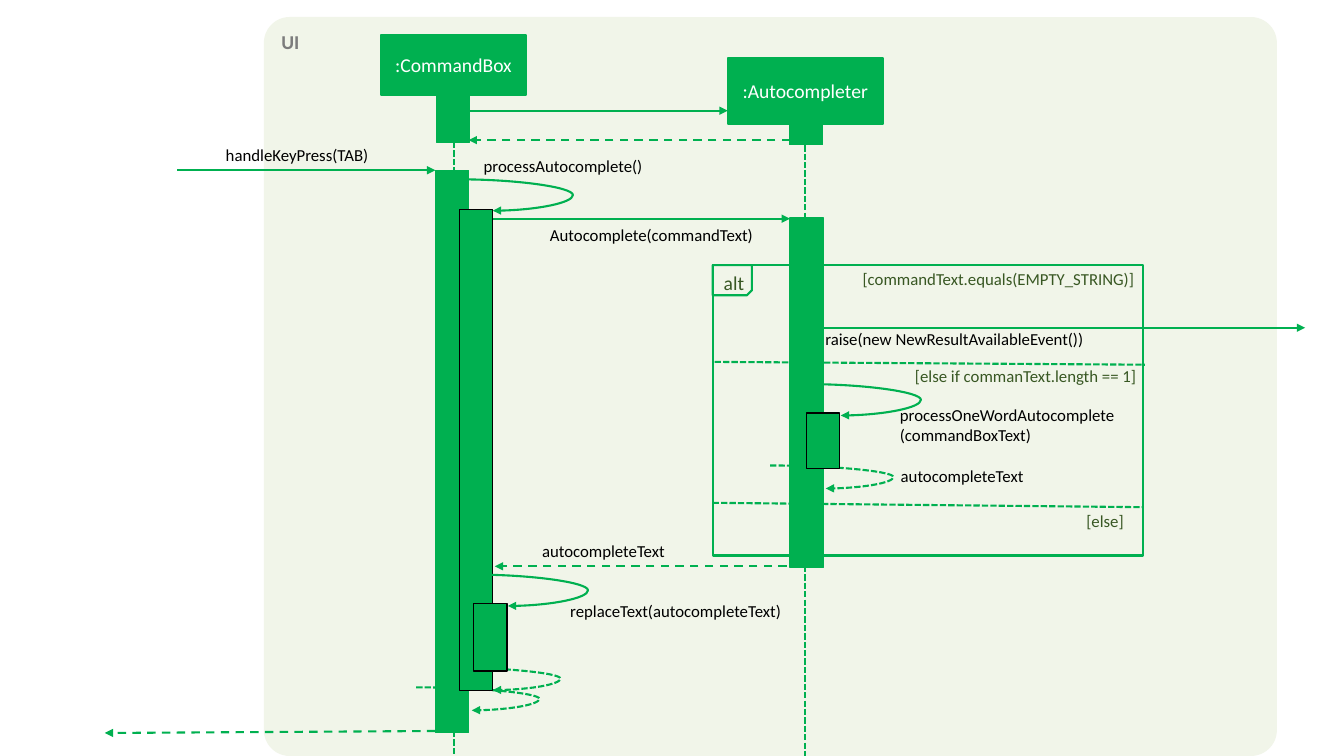
from dataclasses import dataclass
from typing import Optional

import pptx
import pptx.dml.color
import pptx.enum.dml
import pptx.enum.shapes
import pptx.enum.text
import pptx.oxml.ns
import pptx.util
from lxml import etree
from pptx.util import Cm

RGBColor = pptx.dml.color.RGBColor
Shapes = pptx.enum.shapes.MSO_SHAPE
Connectors = pptx.enum.shapes.MSO_CONNECTOR
Dashes = pptx.enum.dml.MSO_LINE
Align = pptx.enum.text.PP_ALIGN
Anchor = pptx.enum.text.MSO_ANCHOR
qn = pptx.oxml.ns.qn

GREEN = RGBColor(0x00, 0xB0, 0x50)
DARK_GREEN = RGBColor(0x38, 0x57, 0x23)
PANEL = RGBColor(0xF1, 0xF5, 0xE9)
GRAY = RGBColor(0x7C, 0x7C, 0x7C)
BLACK = RGBColor(0, 0, 0)
WHITE = RGBColor(0xFF, 0xFF, 0xFF)
FONT = "Calibri"
BAR_WIDTH = 0.84
SLIDE_WIDTH, SLIDE_HEIGHT = 33.87, 19.05


@dataclass
class Box:
    left: float
    top: float
    width: float
    height: float
    fill: Optional[RGBColor] = GREEN
    line: Optional[RGBColor] = GREEN
    weight: float = 1.5


@dataclass
class Arrow:
    start: tuple[float, float]
    end: tuple[float, float]
    dash: Optional[Dashes] = None
    head: bool = True


@dataclass
class Loop:
    """Self message, bulging to the right by a multiple of its width."""
    left: float
    top: float
    width: float = BAR_WIDTH
    height: float = 0.79
    bulge: float = 3.404
    dash: Optional[Dashes] = None


@dataclass
class Label:
    text: str
    left: float
    top: float
    width: float
    height: float = 0.77
    size: int = 12
    color: RGBColor = BLACK
    align: Align = Align.LEFT
    padded: bool = True


def bar(left: float, top: float, height: float, line: RGBColor = GREEN) -> Box:
    return Box(left, top, BAR_WIDTH, height, line=line, weight=1)


def self_return(left: float, top: float) -> Loop:
    return Loop(left, top, 1.4, 0.58, 2.218, Dashes.SQUARE_DOT)


def guard(text: str, left: float, top: float, width: float, align: Align = Align.CENTER) -> Label:
    return Label(text, left, top, width, 0.51, color=DARK_GREEN, align=align, padded=False)


COMMAND_BOX = Box(9.6, 0.89, 3.66, 1.5)
AUTOCOMPLETER = Box(18.34, 1.47, 3.91, 1.65)
ALT_FRAME = Box(17.96, 6.68, 10.85, 7.32, fill=None)
ALT_TAB = Box(17.96, 6.68, 0.99, 0.76, fill=None)

STEMS = [bar(11, 1.63, 1.96), bar(19.89, 2.79, 0.86)]
ACTIVATIONS = [
    bar(10.97, 4.29, 14.17),
    bar(11.58, 5.28, 12.12, BLACK),
    bar(19.91, 5.49, 8.81),
    bar(20.32, 10.41, 1.4, BLACK),
    bar(11.94, 15.21, 1.7, BLACK),
]
LIFELINES = [
    Arrow((11.43, 3.58), (11.43, SLIDE_HEIGHT), Dashes.SQUARE_DOT, head=False),
    Arrow((20.29, 3.66), (20.29, SLIDE_HEIGHT), Dashes.SQUARE_DOT, head=False),
]
ALT_DIVIDERS = [
    Arrow((18.01, 9.12), (28.85, 9.19), Dashes.SQUARE_DOT, head=False),
    Arrow((17.96, 12.67), (28.78, 12.78), Dashes.SQUARE_DOT, head=False),
]
MESSAGES = [
    Arrow((11.84, 2.79), (18.34, 2.79)),
    Arrow((19.91, 3.53), (11.81, 3.53), Dashes.DASH),
    Arrow((4.47, 4.29), (10.97, 4.29)),
    Arrow((12.42, 5.51), (19.91, 5.51)),
    Arrow((20.55, 8.26), (32.89, 8.26)),
    Arrow((20.57, 14.27), (12.47, 14.27), Dashes.DASH),
    Arrow((10.97, 18.42), (2.64, 18.47), Dashes.DASH),
]
SELF_CALLS = [Loop(11.58, 4.52), Loop(20.35, 9.68), Loop(11.96, 14.48)]
SELF_RETURNS = [self_return(11.02, 16.81), self_return(10.49, 17.32), self_return(19.41, 11.73)]
LABELS = [
    Label("handleKeyPress(TAB)", 5.44, 3.51, 4.47),
    Label("processAutocomplete()", 11.94, 3.81, 4.57),
    Label("Autocomplete(commandText)", 13.61, 5.54, 5.69),
    Label("raise(new NewResultAvailableEvent())", 20.55, 8.15, 11.81),
    Label("processOneWordAutocomplete(commandBoxText)", 22.43, 10.08, 6.02, 1.28),
    Label("autocompleteText", 22.45, 11.61, 3.96),
    Label("autocompleteText", 13.41, 13.49, 3.96),
    Label("replaceText(autocompleteText)", 14.12, 15.01, 5.92),
    guard("[commandText.equals(EMPTY_STRING)]", 21.74, 6.76, 6.86, Align.LEFT),
    guard("[else if commanText.length == 1]", 22.94, 9.22, 5.82),
    guard("[else]", 24.94, 12.88, 5.82),
    Label("alt", 18.24, 6.83, 0.74, 0.58, 14, DARK_GREEN, padded=False),
]


def write_text(shape, text: str, *, size: int = 14, color: RGBColor = WHITE, bold: bool = False,
               align: Align = Align.CENTER, anchor: Anchor = Anchor.MIDDLE) -> None:
    frame = shape.text_frame
    frame.word_wrap = True
    frame.vertical_anchor = anchor
    paragraph = frame.paragraphs[0]
    paragraph.alignment = align
    run = paragraph.add_run()
    run.text = text
    run.font.name = FONT
    run.font.size = pptx.util.Pt(size)
    run.font.bold = bold
    run.font.color.rgb = color


def draw_box(slide, box: Box, kind: Shapes = Shapes.RECTANGLE):
    shape = slide.shapes.add_shape(kind, Cm(box.left), Cm(box.top), Cm(box.width), Cm(box.height))
    shape.shadow.inherit = False
    if box.fill is None:
        shape.fill.background()
    else:
        shape.fill.solid()
        shape.fill.fore_color.rgb = box.fill
    if box.line is None:
        shape.line.fill.background()
    else:
        shape.line.color.rgb = box.line
        shape.line.width = pptx.util.Pt(box.weight)
    return shape


def draw_arrow(slide, arrow: Arrow, kind: Connectors = Connectors.STRAIGHT):
    connector = slide.shapes.add_connector(kind, *(Cm(value) for value in arrow.start + arrow.end))
    connector.line.color.rgb = GREEN
    connector.line.width = pptx.util.Pt(1.5)
    if arrow.dash is not None:
        connector.line.dash_style = arrow.dash
    properties = connector._element.spPr
    if arrow.head:
        etree.SubElement(properties.find(qn("a:ln")), qn("a:tailEnd"), type="triangle")
    etree.SubElement(properties, qn("a:effectLst"))
    return connector


def draw_loop(slide, loop: Loop) -> None:
    end = (loop.left + loop.width, loop.top + loop.height)
    connector = draw_arrow(slide, Arrow((loop.left, loop.top), end, loop.dash), Connectors.CURVE)
    adjustments = connector._element.spPr.find(qn("a:prstGeom")).find(qn("a:avLst"))
    etree.SubElement(adjustments, qn("a:gd"), name="adj1", fmla=f"val {round(loop.bulge * 100000)}")


def draw_label(slide, label: Label) -> None:
    shape = slide.shapes.add_textbox(Cm(label.left), Cm(label.top), Cm(label.width), Cm(label.height))
    write_text(shape, label.text, size=label.size, color=label.color, align=label.align, anchor=Anchor.TOP)
    if not label.padded:
        frame = shape.text_frame
        frame.margin_left = frame.margin_right = frame.margin_top = frame.margin_bottom = 0


def main() -> None:
    presentation = pptx.Presentation()
    presentation.slide_width, presentation.slide_height = Cm(SLIDE_WIDTH), Cm(SLIDE_HEIGHT)
    slide = presentation.slides.add_slide(presentation.slide_layouts.get_by_name("Blank"))

    panel = draw_box(slide, Box(6.65, 0.43, 25.53, 18.62, PANEL, None), Shapes.ROUNDED_RECTANGLE)
    panel.adjustments[0] = 0.035
    write_text(panel, "UI", color=GRAY, bold=True, align=Align.LEFT, anchor=Anchor.TOP)
    for loop in SELF_RETURNS:
        draw_loop(slide, loop)
    for stem in STEMS:
        draw_box(slide, stem)
    write_text(draw_box(slide, COMMAND_BOX), ":CommandBox")
    write_text(draw_box(slide, AUTOCOMPLETER), ":Autocompleter")
    for lifeline in LIFELINES:
        draw_arrow(slide, lifeline)
    for activation in ACTIVATIONS:
        draw_box(slide, activation)
    draw_box(slide, ALT_FRAME)
    tab = draw_box(slide, ALT_TAB, Shapes.SNIP_1_RECTANGLE)
    tab.rotation = 180
    tab._element.spPr.find(qn("a:xfrm")).set("flipH", "1")
    for arrow in ALT_DIVIDERS + MESSAGES:
        draw_arrow(slide, arrow)
    for loop in SELF_CALLS:
        draw_loop(slide, loop)
    for label in LABELS:
        draw_label(slide, label)
    presentation.save("out.pptx")


if __name__ == "__main__":
    main()
